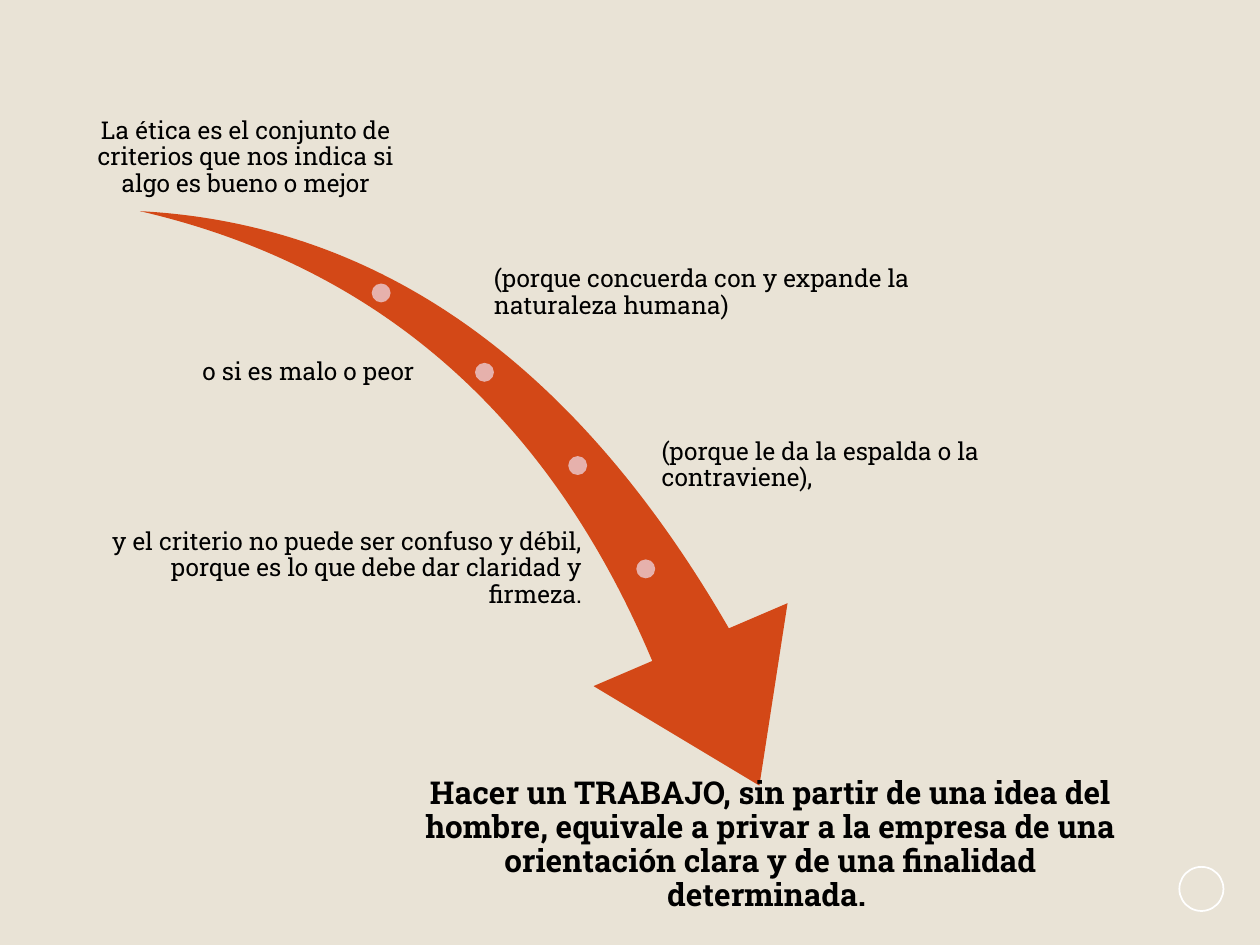
from pptx import Presentation, util as u
from pptx.dml.color import RGBColor
from pptx.enum import shapes, text

deck = Presentation()
deck.slide_width, deck.slide_height = u.Inches(10), u.Inches(7.5)
COL, ROW = deck.slide_width / 100, deck.slide_height / 75
slide = deck.slides.add_slide(deck.slide_layouts[6])


def paint(target, color):
    target.solid()
    target.fore_color.rgb = RGBColor.from_string(color)


def cells(left, top, width, height):
    return [round(n * unit) for n, unit in zip((left, top, width, height), (COL, ROW, COL, ROW))]


paint(slide.background.fill, "E9E3D6")

number_ring = slide.shapes.add_shape(shapes.MSO_SHAPE.OVAL, *cells(93.6, 68.8, 3.5, 3.5))
number_ring.shadow.inherit = False
number_ring.fill.background()
paint(number_ring.line.fill, "FFFFFF")
number_ring.line.width = u.Pt(1)

swoosh = slide.shapes.add_shape(shapes.MSO_SHAPE.SWOOSH_ARROW, *cells(9.8, 18.5, 57.8, 40.3))
swoosh.rotation = 73.3
swoosh.adjustments[0], swoosh.adjustments[1] = 0.163, 0.314
swoosh.shadow.inherit = False
paint(swoosh.fill, "D34817")
swoosh.line.fill.background()

for left, top in ((29.5, 22.5), (37.7, 28.8), (45.1, 36.2), (50.5, 44.4)):
    milestone = slide.shapes.add_shape(shapes.MSO_SHAPE.OVAL, *cells(left, top, 1.5, 1.5))
    milestone.shadow.inherit = False
    paint(milestone.fill, "E6B1AC")
    milestone.line.fill.background()

NARROW, WIDE, TALL = 27.2, 40.5, 10.7
LEFT_EDGE, RIGHT_EDGE = 5.9, 79.5
TOP, MIDDLE, BOTTOM = text.MSO_ANCHOR.TOP, text.MSO_ANCHOR.MIDDLE, text.MSO_ANCHOR.BOTTOM
START, CENTER, END = text.PP_ALIGN.LEFT, text.PP_ALIGN.CENTER, text.PP_ALIGN.RIGHT

statements = [
    (LEFT_EDGE, 5.2, NARROW, BOTTOM, CENTER, 14, False,
     "La ética es el conjunto de criterios que nos indica si algo es bueno o mejor"),
    (RIGHT_EDGE - WIDE, 17.9, WIDE, MIDDLE, START, 14, False,
     "(porque concuerda con y expande la naturaleza humana)"),
    (LEFT_EDGE, 24.2, NARROW, MIDDLE, END, 14, False, "o si es malo o peor"),
    (RIGHT_EDGE - NARROW, 31.6, NARROW, MIDDLE, START, 14, False,
     "(porque le da la espalda o la contraviene),"),
    (LEFT_EDGE, 39.8, WIDE, MIDDLE, END, 14, False,
     "y el criterio no puede ser confuso y débil, porque es lo que debe dar claridad y firmeza."),
    (32.1, 61.4, 58.1, TOP, CENTER, 18, True,
     "Hacer un TRABAJO, sin partir de una idea del hombre, equivale a privar a la empresa "
     "de una orientación clara y de una finalidad determinada. "),
]
for left, top, width, anchor, align, size, bold, wording in statements:
    frame = slide.shapes.add_textbox(*cells(left, top, width, TALL)).text_frame
    frame.word_wrap = True
    frame.vertical_anchor = anchor
    inset = u.Inches(0.03 if bold else 0.02)
    frame.margin_left = frame.margin_right = frame.margin_top = frame.margin_bottom = inset
    statement = frame.paragraphs[0]
    statement.text = wording
    statement.alignment = align
    statement.line_spacing = 0.9
    statement.font.name = "Roboto Slab"
    statement.font.size = u.Pt(size)
    statement.font.bold = bold
    paint(statement.font.fill, "000000")

deck.save("out.pptx")
